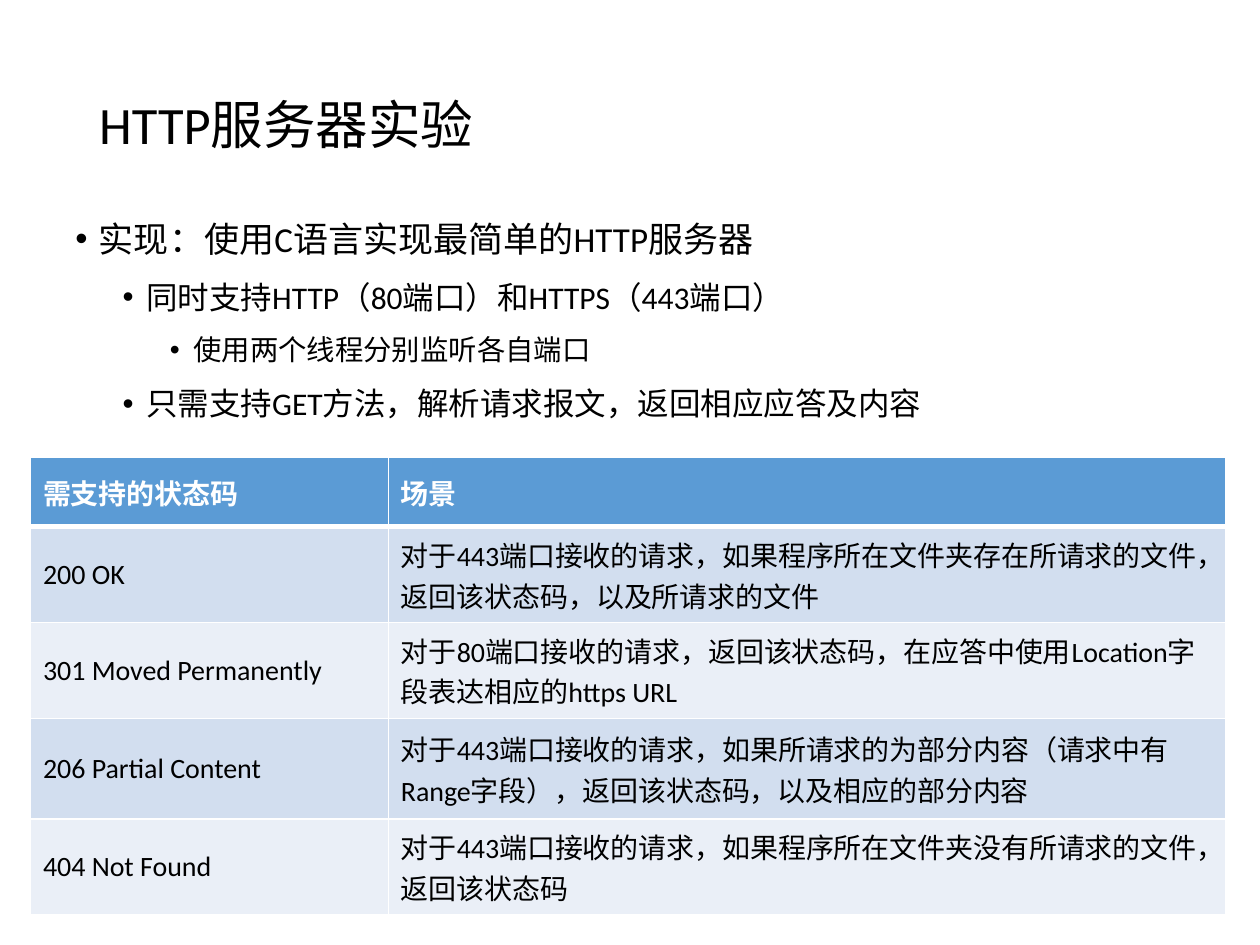
from dataclasses import dataclass

from lxml.etree import SubElement
from pptx import Presentation
from pptx.dml.color import RGBColor
from pptx.enum.text import MSO_ANCHOR, PP_ALIGN
from pptx.oxml import parse_xml
from pptx.oxml.ns import nsdecls, qn
from pptx.util import Pt


@dataclass(frozen=True)
class Theme:
    font: str = "Calibri"
    ink: str = "000000"
    paper: str = "FFFFFF"
    head: str = "5B9BD5"
    bands: tuple[str, str] = ("D2DEEF", "EAEFF7")
    title: float = 30
    levels: tuple[float, ...] = (20, 18, 16.2)
    cell: float = 16
    thin: float = 1
    thick: float = 3


@dataclass(frozen=True)
class Box:
    left: float
    top: float
    width: float
    height: float

    def lengths(self) -> tuple[Pt, ...]:
        return tuple(Pt(n) for n in (self.left, self.top, self.width, self.height))


@dataclass(frozen=True)
class Bullet:
    level: int
    text: str


@dataclass(frozen=True)
class Status:
    code: str
    scene: str


THEME = Theme()
TITLE = Box(49.5, 28.8, 621, 88.6)
BODY = Box(36, 113.76, 648, 141.84)
TABLE = Box(17.4, 261.4, 683.3, 261.4)
COLS = (204.5, 478.8)
ROWS = (39.6, 54.8, 54.8, 57.4, 54.8)

BULLETS = (
    Bullet(0, "实现：使用C语言实现最简单的HTTP服务器"),
    Bullet(1, "同时支持HTTP（80端口）和HTTPS（443端口）"),
    Bullet(2, "使用两个线程分别监听各自端口"),
    Bullet(1, "只需支持GET方法，解析请求报文，返回相应应答及内容"),
)
STATES = (
    Status("需支持的状态码", "场景"),
    Status("200 OK", "对于443端口接收的请求，如果程序所在文件夹存在所请求的文件，返回该状态码，以及所请求的文件"),
    Status("301 Moved Permanently", "对于80端口接收的请求，返回该状态码，在应答中使用Location字段表达相应的https URL"),
    Status("206 Partial Content", "对于443端口接收的请求，如果所请求的为部分内容（请求中有Range字段），返回该状态码，以及相应的部分内容"),
    Status("404 Not Found", "对于443端口接收的请求，如果程序所在文件夹没有所请求的文件，返回该状态码"),
)


def style(para, size: float, color: str = THEME.ink, bold: bool = False) -> None:
    font = para.font
    font.name, font.size, font.bold = THEME.font, Pt(size), bold
    font.color.rgb = RGBColor.from_string(color)


def draw_title(slide, text: str) -> None:
    title = slide.shapes.title
    title.left, title.top, title.width, title.height = TITLE.lengths()
    frame = title.text_frame
    frame.text = text
    frame.vertical_anchor = MSO_ANCHOR.MIDDLE
    para = frame.paragraphs[0]
    para.alignment, para.line_spacing = PP_ALIGN.LEFT, 0.9
    style(para, THEME.title)


def draw_bullet(para, item: Bullet) -> None:
    para.text, para.level = item.text, item.level
    para.line_spacing = 1.3
    para.space_before = Pt(3.8 if item.level else 7.5)
    props = para._p.get_or_add_pPr()
    props.set("marL", str(Pt(13.5 + 27 * item.level)))
    props.set("indent", str(Pt(-13.5)))
    SubElement(props, qn("a:buFont"), typeface="Arial")
    SubElement(props, qn("a:buChar"), char="•")
    style(para, THEME.levels[item.level])


def draw_body(slide) -> None:
    frame = slide.shapes.add_textbox(*BODY.lengths()).text_frame
    frame.word_wrap = True
    for i, item in enumerate(BULLETS):
        draw_bullet(frame.add_paragraph() if i else frame.paragraphs[0], item)


def set_edges(cell, top: float, bottom: float) -> None:
    """Add the cell borders, which must stand before the fill."""
    props = cell._tc.get_or_add_tcPr()
    edges = {"L": THEME.thin, "R": THEME.thin, "T": top, "B": bottom}
    for i, (side, width) in enumerate(edges.items()):
        props.insert(i, parse_xml(
            f'<a:ln{side} {nsdecls("a")} w="{Pt(width)}"><a:solidFill>'
            f'<a:srgbClr val="{THEME.paper}"/></a:solidFill></a:ln{side}>'))


def draw_cell(cell, text: str, row: int) -> None:
    head = row == 0
    cell.text = text
    cell.vertical_anchor = MSO_ANCHOR.MIDDLE
    cell.fill.solid()
    fill = THEME.head if head else THEME.bands[(row - 1) % 2]
    cell.fill.fore_color.rgb = RGBColor.from_string(fill)
    set_edges(cell, THEME.thick if row == 1 else THEME.thin,
              THEME.thick if head else THEME.thin)
    style(cell.text_frame.paragraphs[0], THEME.cell,
          THEME.paper if head else THEME.ink, head)


def draw_table(slide) -> None:
    table = slide.shapes.add_table(len(ROWS), len(COLS), *TABLE.lengths()).table
    for col, width in zip(table.columns, COLS):
        col.width = Pt(width)
    for i, (height, state) in enumerate(zip(ROWS, STATES)):
        table.rows[i].height = Pt(height)
        draw_cell(table.cell(i, 0), state.code, i)
        draw_cell(table.cell(i, 1), state.scene, i)


def main() -> None:
    deck = Presentation()
    deck.slide_width, deck.slide_height = Pt(720), Pt(540)
    slide = deck.slides.add_slide(deck.slide_layouts[5])
    draw_title(slide, "HTTP服务器实验")
    draw_body(slide)
    draw_table(slide)
    deck.save("out.pptx")


if __name__ == "__main__":
    main()
